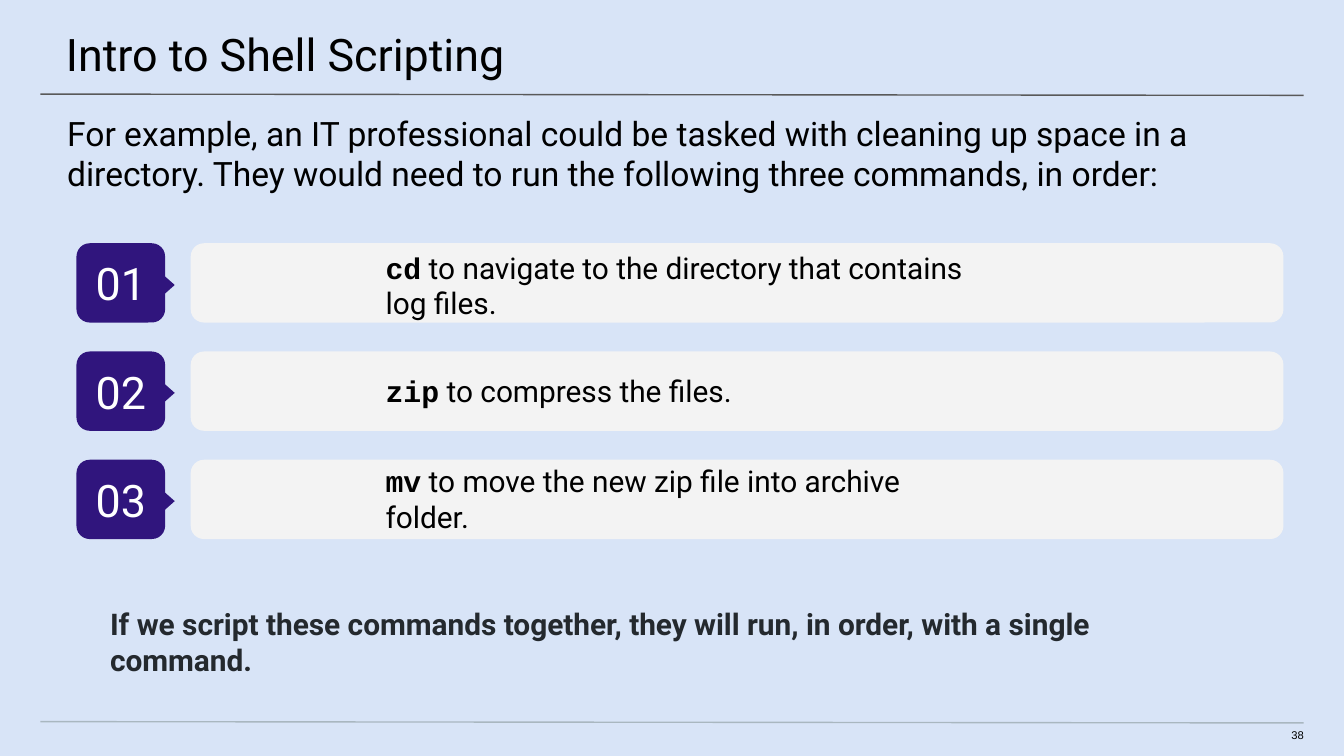
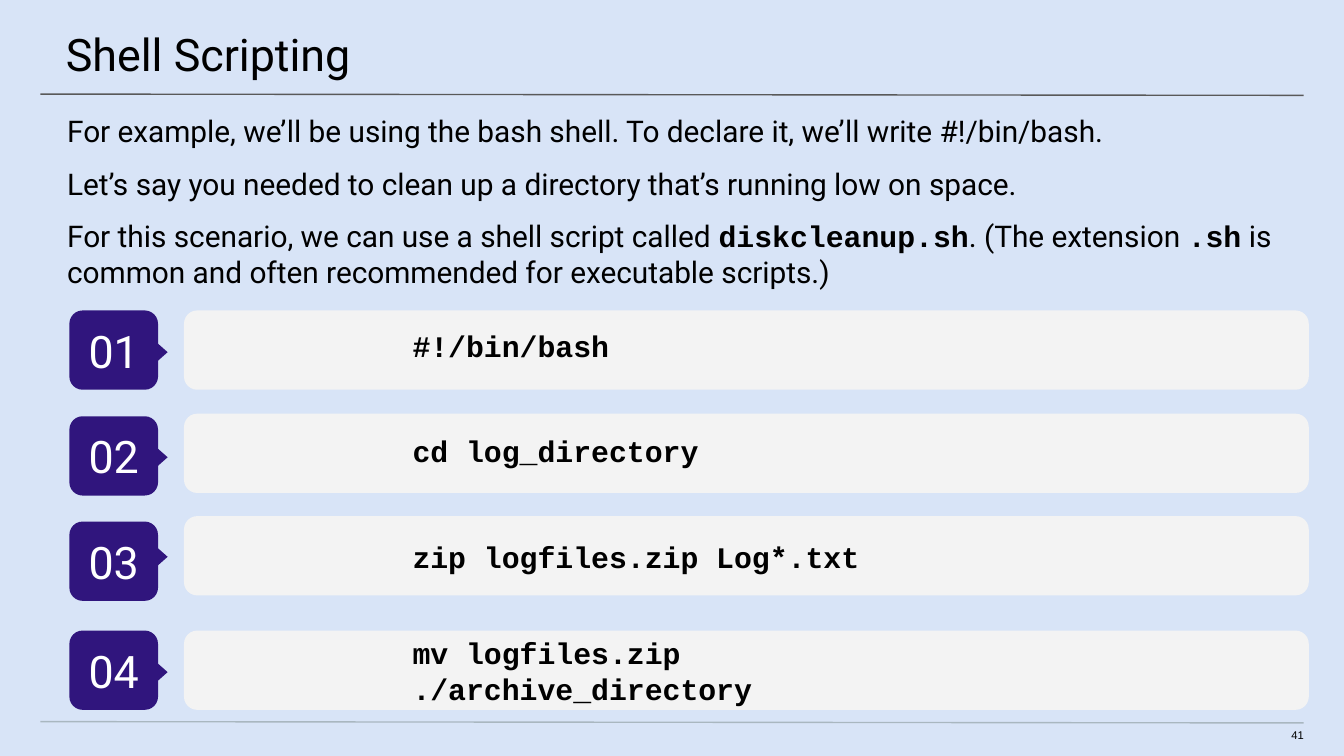
"""Builds two slides on shell scripting with numbered command rows."""
from lxml import etree
from pptx import Presentation
from pptx.dml.color import RGBColor
from pptx.enum.shapes import MSO_CONNECTOR, MSO_SHAPE
from pptx.enum.text import MSO_ANCHOR, PP_ALIGN
from pptx.oxml.ns import qn
from pptx.util import Pt

ROUND = MSO_SHAPE.ROUNDED_RECTANGLE
POINTER = MSO_SHAPE.FLOWCHART_EXTRACT
STRAIGHT = MSO_CONNECTOR.STRAIGHT
TOP, MIDDLE = MSO_ANCHOR.TOP, MSO_ANCHOR.MIDDLE
LEFT, CENTER, RIGHT = PP_ALIGN.LEFT, PP_ALIGN.CENTER, PP_ALIGN.RIGHT

SKY = RGBColor(0xD8, 0xE4, 0xF7)
BLACK = RGBColor(0, 0, 0)
WHITE = RGBColor(0xFF, 0xFF, 0xFF)
INK = RGBColor(0x24, 0x29, 0x2E)
PURPLE = RGBColor(0x30, 0x15, 0x7D)
PALE = RGBColor(0xF3, 0xF3, 0xF3)
GRAY = RGBColor(0x59, 0x59, 0x59)
STEEL = RGBColor(0xA9, 0xB7, 0xC0)

SANS, MONO, SMALL = "Roboto", "Courier New", "Arial"
ROW_H = 42.5


def write(shape, paras, size, color=BLACK, inset=(0, 0, 0, 0), anchor=TOP,
          align=LEFT, gap=0):
    """Fill a shape with paragraphs made of (text, font, bold) runs."""
    frame = shape.text_frame
    frame.word_wrap = True
    frame.vertical_anchor = anchor
    (frame.margin_left, frame.margin_top,
     frame.margin_right, frame.margin_bottom) = [Pt(v) for v in inset]
    for i, runs in enumerate(paras):
        para = frame.add_paragraph() if i else frame.paragraphs[0]
        para.alignment = align
        if i:
            para.space_before = Pt(gap)
        for text, font, bold in runs:
            run = para.add_run()
            run.text = text
            run.font.name = font
            run.font.size = Pt(size)
            run.font.bold = bold
            run.font.color.rgb = color


def draw(shapes, kind, left, top, width, height, fill):
    """Add a plain filled shape without line or shadow."""
    shape = shapes.add_shape(kind, Pt(left), Pt(top), Pt(width), Pt(height))
    shape.shadow.inherit = False
    shape.fill.solid()
    shape.fill.fore_color.rgb = fill
    shape.line.fill.background()
    if kind == ROUND:
        shape.adjustments[0] = 0.167
    return shape


INTRO = [[("For example, an IT professional could be tasked with cleaning up space in a directory. "
           "They would need to run the following three commands, in order:", SANS, False)]]
CLOSING = [[("If we script these commands together, they will run, in order, "
             "with a single command.", SANS, True)]]
SCENE = [
    [("For example, we’ll be using the bash shell. To declare it, we’ll write #!/bin/bash.", SANS, False)],
    [("Let’s say you needed to clean up a directory that’s running low on space.", SANS, False)],
    [("For this scenario, we can use a shell script called ", SANS, False),
     ("diskcleanup.sh", MONO, True),
     (". (The extension ", SANS, False),
     (".sh", MONO, True),
     (" is common and often recommended for executable scripts.)", SANS, False)],
]

# Text blocks: left, top, width, height, paragraphs, size, colour, inset
# Rows: badge top, pointer top, bar top, text top, command, remark
PAGES = [
    dict(title="Intro to Shell Scripting", number="38",
         blocks=[(0, 53.3, 720, 50, INTRO, 18, BLACK, (36, 7.2, 36, 0)),
                 (23, 324.7, 673, 40, CLOSING, 16, INK, (36, 0, 36, 0))],
         badge=41, bar=(102.2, 585.4), label=84.2,
         rows=[(130.3, 146.2, 130.3, 131.8, "cd", " to navigate to the directory that contains log files."),
               (188.3, 204, 188.3, 188.6, "zip", " to compress the files."),
               (246.3, 262, 246.3, 246.3, "mv", " to move the new zip file into archive folder.")]),
    dict(title="Shell Scripting", number="41",
         blocks=[(0, 60.5, 720, 97, SCENE, 16, BLACK, (36, 0, 36, 0))],
         badge=37.2, bar=(98.6, 602.6), label=98.6,
         rows=[(166.3, 182.2, 166.3, 164.5, "#!/bin/bash", ""),
               (223, 238.5, 221.6, 220.5, "cd log_directory", ""),
               (279.4, 291.8, 276.5, 277.2, "zip logfiles.zip Log*.txt", ""),
               (337.8, 353.6, 337.8, 338.4, "mv logfiles.zip ./archive_directory", "")]),
]

prs = Presentation()
prs.slide_width, prs.slide_height = Pt(720), Pt(405)

for page in PAGES:
    slide = prs.slides.add_slide(prs.slide_layouts[6])
    shapes = slide.shapes
    slide.background.fill.solid()
    slide.background.fill.fore_color.rgb = SKY

    for y, color in ((50.4, GRAY), (386.6, STEEL)):
        rule = shapes.add_connector(STRAIGHT, Pt(21.6), Pt(y), Pt(698.4), Pt(y + 0.7))
        rule.line.color.rgb = color
        rule.line.width = Pt(0.75)
        etree.SubElement(rule._element.spPr, qn("a:effectLst"))

    title = shapes.add_textbox(Pt(-0.7), Pt(0), Pt(722), Pt(42))
    write(title, [[(page["title"], SANS, False)]], 24, inset=(36, 14.4, 21.6, 7.2))

    for left, top, width, height, paras, size, color, inset in page["blocks"]:
        block = shapes.add_textbox(Pt(left), Pt(top), Pt(width), Pt(height))
        write(block, paras, size, color, inset, gap=9)

    x = page["badge"]
    left, width = page["bar"]
    for n, (top, tip, bar, line, code, note) in enumerate(page["rows"], 1):
        draw(shapes, ROUND, left, bar, width, ROW_H, PALE)
        group = shapes.add_group_shape()
        badge = draw(group.shapes, ROUND, x, top, 47.5, ROW_H, PURPLE)
        write(badge, [[(f"{n:02}", SANS, False)]], 24, WHITE, (7.2,) * 4, MIDDLE, CENTER)
        arrow = draw(group.shapes, POINTER, x + 34.6, tip, 23, 13, PURPLE)
        arrow.rotation = 90
        label = shapes.add_textbox(Pt(page["label"]), Pt(line), Pt(478.8), Pt(41.8))
        runs = [(code, MONO, True)]
        if note:
            runs.append((note, SANS, False))
        write(label, [runs], 16, inset=(122.4, 0, 36, 0), anchor=MIDDLE)

    foot = shapes.add_textbox(Pt(677.5), Pt(390.2), Pt(20.9), Pt(8.6))
    write(foot, [[(page["number"], SMALL, False)]], 6, align=RIGHT)

prs.save("out.pptx")
